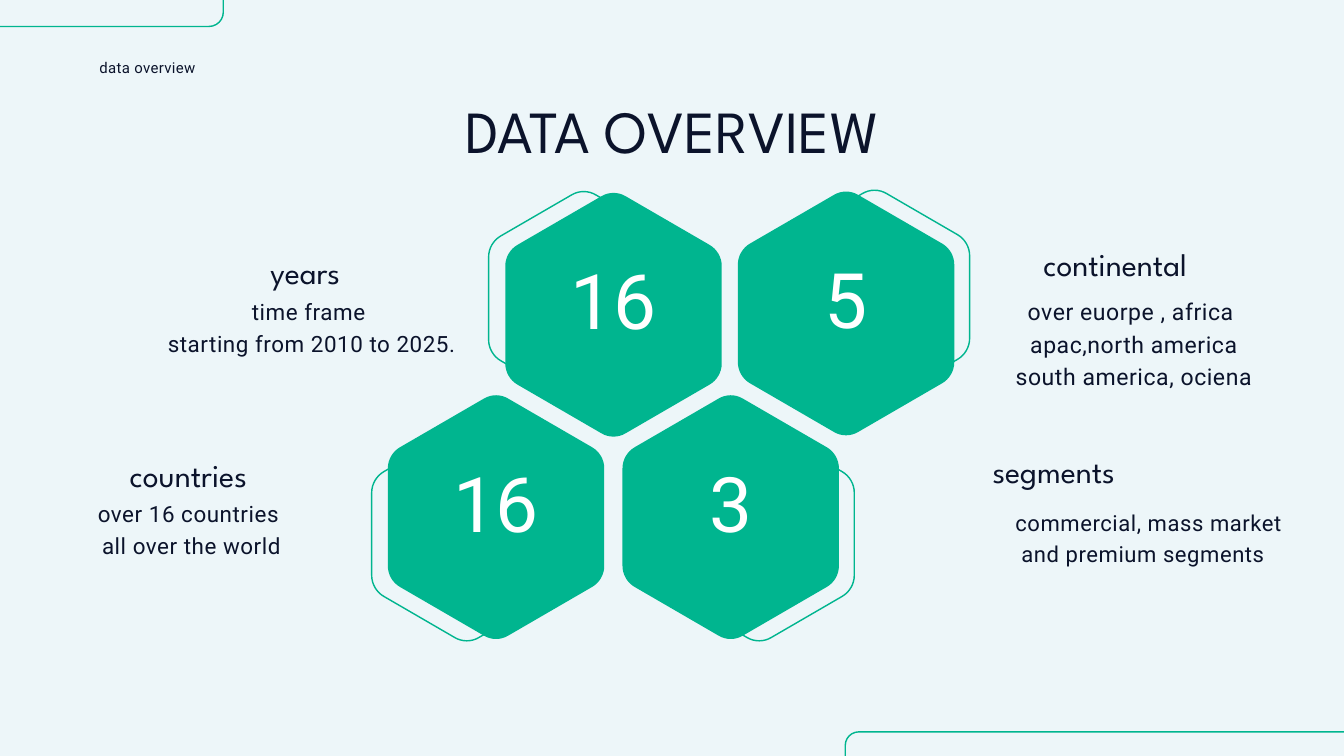
"""Build the data overview slide with four numbered hexagons."""
from pptx import Presentation
from pptx.dml.color import RGBColor
from pptx.enum.shapes import MSO_SHAPE
from pptx.enum.text import MSO_ANCHOR, MSO_AUTO_SIZE, PP_ALIGN
from pptx.oxml.ns import qn
from pptx.util import Cm, Pt

GREEN = RGBColor(0x00, 0xB5, 0x8F)
NAVY = RGBColor(0x0B, 0x13, 0x2B)
WHITE = RGBColor(0xFF, 0xFF, 0xFF)
MIST = RGBColor(0xED, 0xF6, 0xF9)
HEADING_FONT, BODY_FONT = "League Spartan", "Roboto"
CENTER, LEFT = PP_ALIGN.CENTER, PP_ALIGN.LEFT

TITLE = ("DATA OVERVIEW", (12.42, 4.01, 25.96, 2.36))
SECTION = ("data overview", (3.76, 2.11, 6.6, 0.76))
OUTLINE_SIZE = (7.19, 8.08)
OUTLINES = [(18.47, 7.24), (29.46, 7.19), (25.1, 16.15), (14.05, 16.15)]
HEXAGON_SIZE = (8.18, 9.22)
HEXAGONS = [
    ("16", (19.1, 7.29)),
    ("5", (27.89, 7.24)),
    ("16", (14.66, 14.94)),
    ("3", (23.53, 14.94)),
]
NUMBER_RISE, NUMBER_HEIGHT = 0.28, 8.03
PANELS = [((31.95, 27.67, 27.66, 3.18), 0.16), ((-16.56, -2.18, 25, 3.18), 0.17)]
HEADING_SIZE = (11.66, 1.24)
HEADINGS = [
    ("continental", (36.32, 9.49)),
    ("years", (5.71, 9.81)),
    ("segments", (34, 17.32)),
    ("countries", (1.29, 17.47)),
]
DETAILS = [
    (["over euorpe , africa ", "apac,north america", "south america, ociena"],
     (36.33, 11.09, 13.06, 3.63), 24.7, 34.5, CENTER),
    (["time frame ", "starting from 2010 to 2025."],
     (5.72, 11.11, 12.12, 2.29), 24, 33.6, CENTER),
    (["commercial, mass market", " and premium segments"],
     (38.38, 19.1, 11.86, 2.31), 23.6, 33.1, LEFT),
    (["over 16 countries", " all over the world"],
     (1.29, 18.75, 11.66, 2.29), 24, 33.6, CENTER),
]


def write(frame, lines, font, size, leading, color=NAVY, align=CENTER, tracking=0):
    frame.word_wrap = True
    frame.auto_size = MSO_AUTO_SIZE.SHAPE_TO_FIT_TEXT
    frame.vertical_anchor = MSO_ANCHOR.TOP
    frame.margin_left = frame.margin_right = frame.margin_top = frame.margin_bottom = 0
    for index, line in enumerate(lines):
        para = frame.add_paragraph() if index else frame.paragraphs[0]
        para.alignment = align
        para.line_spacing = Pt(leading)
        para.space_before = Pt(0)
        span = para.add_run()
        span.text = line
        span.font.name = font
        span.font.size = Pt(size)
        span.font.color.rgb = color
        if tracking:
            span._r.get_or_add_rPr().set("spc", str(round(tracking * 100)))


def add_text(page, lines, place, *style, **options):
    box = page.shapes.add_textbox(*map(Cm, place))
    write(box.text_frame, lines, *style, **options)
    return box.text_frame


def hexagon_points(width, height):
    right, top = width / 2, -height / 2
    crown = [(-0.46, top + 0.13), (-0.18, top - 0.04),
             (0.18, top - 0.04), (0.46, top + 0.13)]
    bend = top + 0.13 + (right - 0.92) * 0.58
    shoulder = [(right - 0.46, bend), (right - 0.18, bend + 0.16),
                (right, bend + 0.47), (right, bend + 0.79)]
    half = crown + shoulder + [(x, -y) for x, y in reversed(shoulder)]
    return half + [(-x, -y) for x, y in half]


def round_corners(shape):
    nodes = list(next(shape._element.iter(qn("a:path"))))
    for corner in range(0, len(nodes) - 1, 4):
        bezier, *controls = nodes[corner + 1:corner + 4]
        bezier.tag = qn("a:cubicBezTo")
        for node in controls:
            bezier.append(node[0])
            node.getparent().remove(node)


def paint(shape, filled):
    shape.shadow.inherit = False
    if filled:
        shape.fill.solid()
        shape.fill.fore_color.rgb = GREEN
        shape.line.fill.background()
    else:
        shape.fill.background()
        shape.line.color.rgb = GREEN
        shape.line.width = Pt(1.5)


def add_hexagon(page, place, size, filled):
    center = [start + length / 2 for start, length in zip(place, size)]
    points = [(Cm(center[0] + x), Cm(center[1] + y)) for x, y in hexagon_points(*size)]
    builder = page.shapes.build_freeform(*points[0])
    builder.add_line_segments(points[1:], close=True)
    shape = builder.convert_to_shape()
    round_corners(shape)
    paint(shape, filled)


def main():
    deck = Presentation()
    deck.slide_width, deck.slide_height = Cm(50.8), Cm(28.58)
    page = deck.slides.add_slide(deck.slide_layouts[5])
    page.background.fill.solid()
    page.background.fill.fore_color.rgb = MIST

    text, place = TITLE
    title = page.shapes.title
    title.left, title.top, title.width, title.height = map(Cm, place)
    write(title.text_frame, [text], HEADING_FONT, 64, 64)

    for place in OUTLINES:
        add_hexagon(page, place, OUTLINE_SIZE, False)
    for number, (left, top) in HEXAGONS:
        add_hexagon(page, (left, top), HEXAGON_SIZE, True)
        number_place = (left, top - NUMBER_RISE, HEXAGON_SIZE[0], NUMBER_HEIGHT)
        frame = add_text(page, [number], number_place, BODY_FONT, 82, 114.8, WHITE)
        frame.auto_size = MSO_AUTO_SIZE.NONE
        frame.vertical_anchor = MSO_ANCHOR.MIDDLE

    for place, rounding in PANELS:
        panel = page.shapes.add_shape(MSO_SHAPE.ROUNDED_RECTANGLE, *map(Cm, place))
        panel.adjustments[0] = rounding
        paint(panel, False)

    text, place = SECTION
    add_text(page, [text], place, BODY_FONT, 16, 22.4, align=LEFT, tracking=0.4)
    for text, place in HEADINGS:
        add_text(page, [text], place + HEADING_SIZE, HEADING_FONT, 34, 34)
    for lines, place, size, leading, align in DETAILS:
        add_text(page, lines, place, BODY_FONT, size, leading, align=align, tracking=0.6)

    deck.save("out.pptx")


if __name__ == "__main__":
    main()
